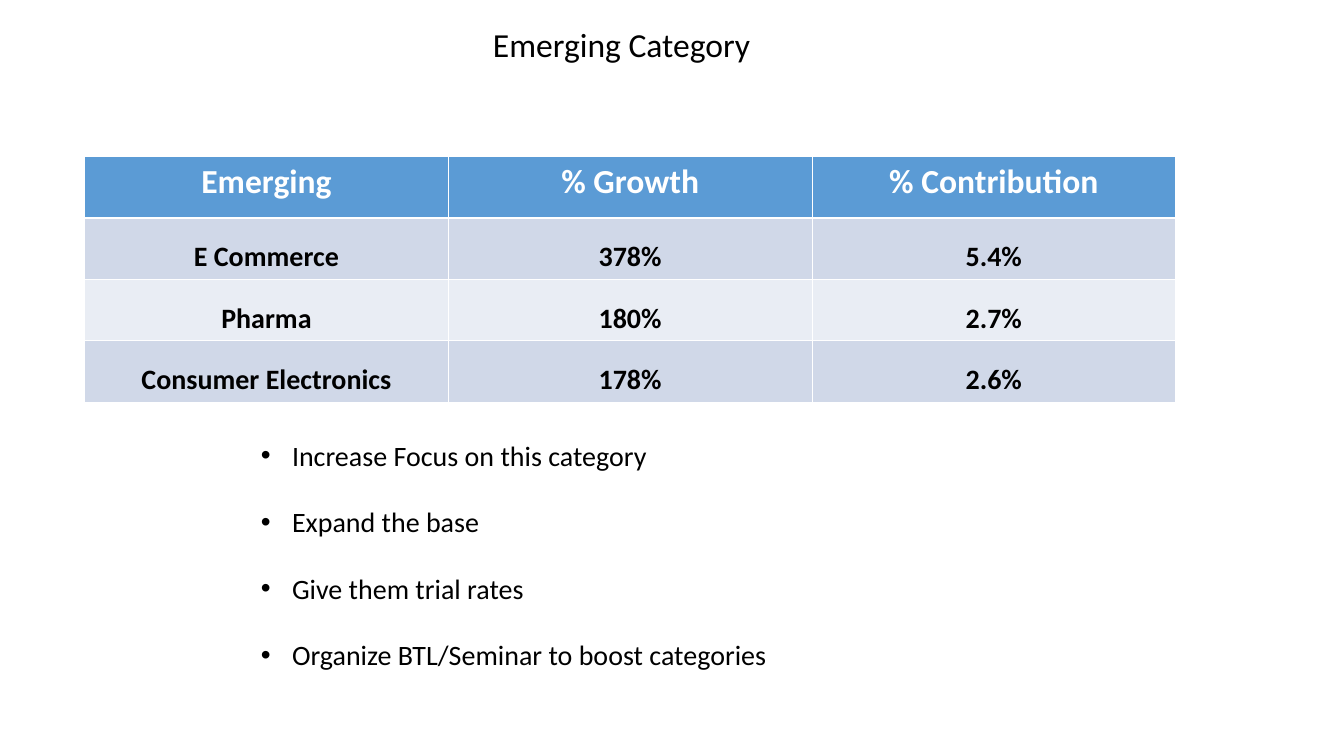
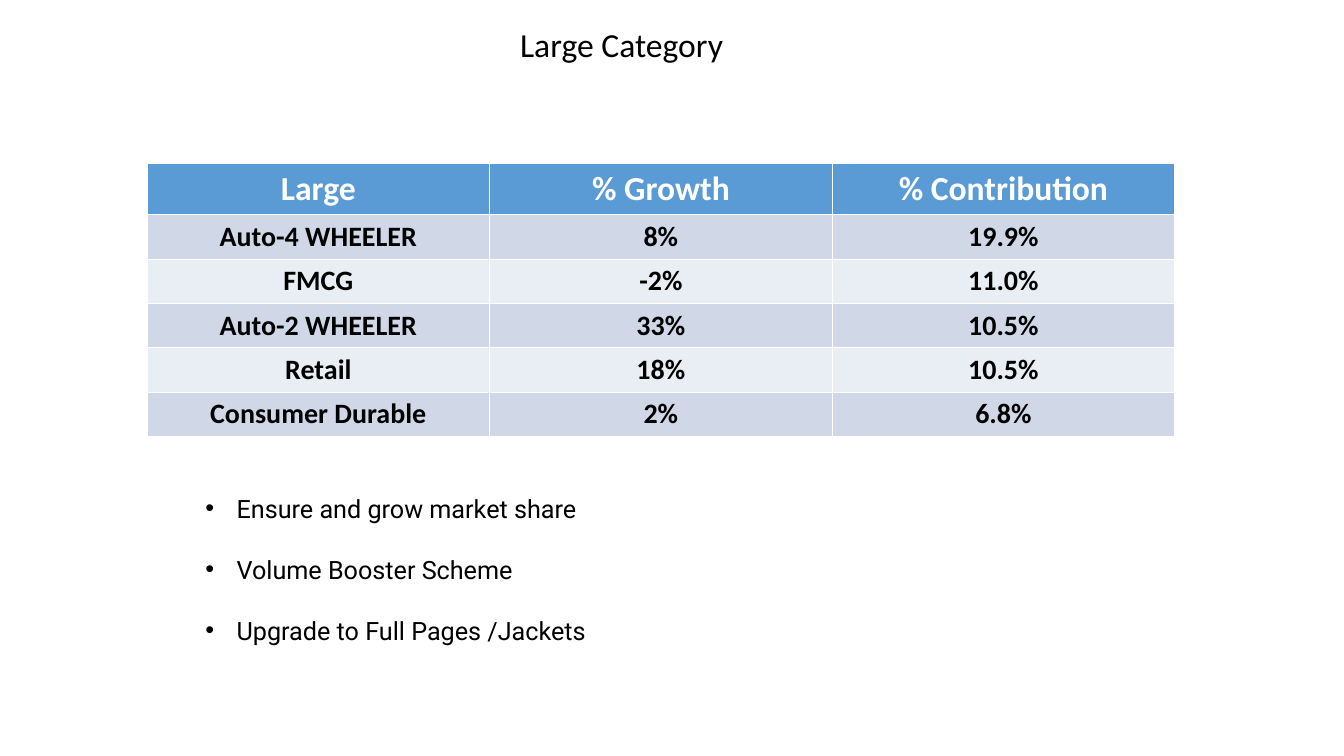
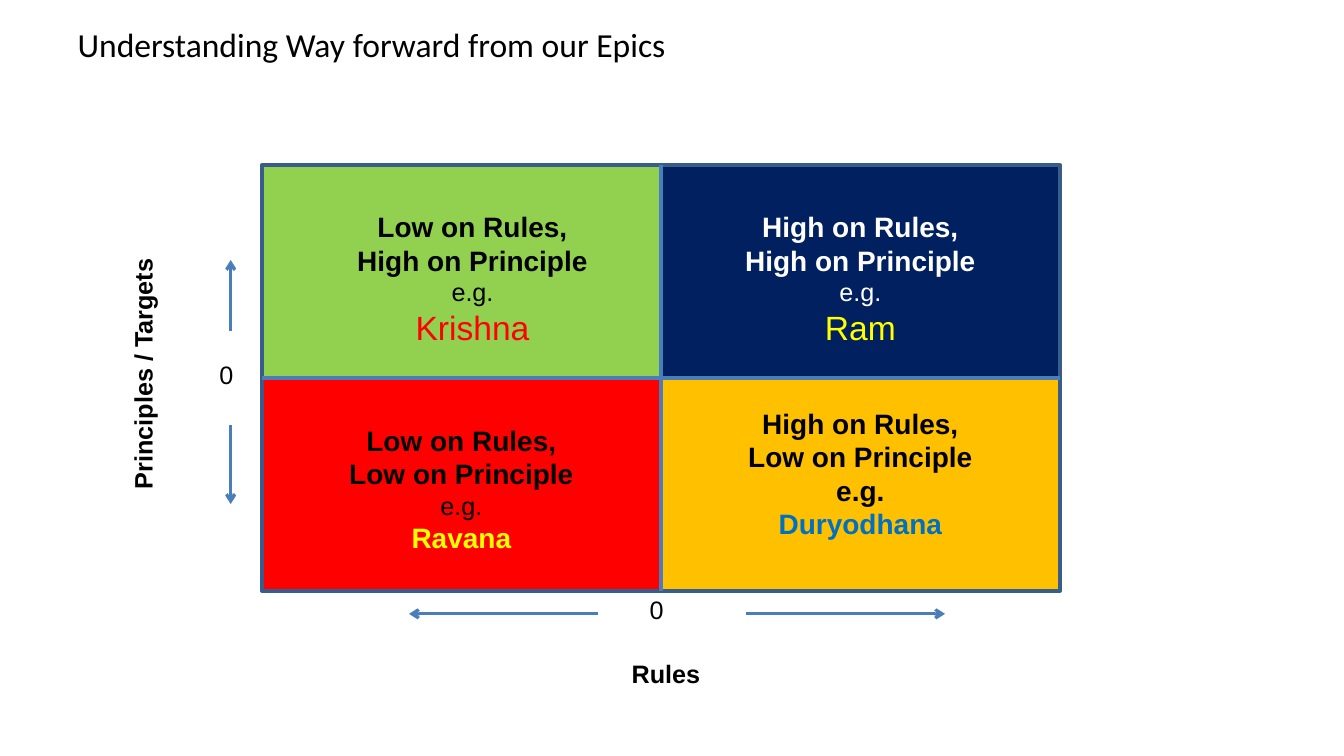
import lxml.etree
import pptx
import pptx.chart.data
import pptx.dml.color
import pptx.enum.shapes
import pptx.enum.text
import pptx.oxml.ns
import pptx.util

Inches = pptx.util.Inches
Pt = pptx.util.Pt
RGBColor = pptx.dml.color.RGBColor
ALIGN = pptx.enum.text.PP_ALIGN
ANCHOR = pptx.enum.text.MSO_ANCHOR
qn = pptx.oxml.ns.qn

BLACK = RGBColor(0x00, 0x00, 0x00)
WHITE = RGBColor(0xFF, 0xFF, 0xFF)
HEADER_BLUE = RGBColor(0x5B, 0x9B, 0xD5)
BAND_DARK = RGBColor(0xD0, 0xD8, 0xE8)
BAND_LIGHT = RGBColor(0xE9, 0xED, 0xF4)
GREEN = RGBColor(0x92, 0xD0, 0x50)
NAVY = RGBColor(0x00, 0x20, 0x60)
RED = RGBColor(0xFF, 0x00, 0x00)
AMBER = RGBColor(0xFF, 0xC0, 0x00)
YELLOW = RGBColor(0xFF, 0xFF, 0x00)
BLUE = RGBColor(0x00, 0x70, 0xC0)
FRAME_BLUE = RGBColor(0x38, 0x5D, 0x8A)
AXIS_BLUE = RGBColor(0x4A, 0x7E, 0xBB)


class Deck:
    """Holds the shared style and the slide being built."""

    BODY_FONT = "Calibri"
    MATRIX_FONT = "Arial"
    THIN, THICK = Pt(0.45), Pt(1.47)

    def __init__(self):
        self.prs = pptx.Presentation()
        self.prs.slide_width = Inches(13.34)
        self.prs.slide_height = Inches(7.5)
        self.slide = None

    @staticmethod
    def style(paragraph, font, size, color=BLACK, bold=False, align=ALIGN.LEFT):
        paragraph.alignment = align
        paragraph.font.name = font
        paragraph.font.size = Pt(size)
        paragraph.font.bold = bold
        paragraph.font.color.rgb = color

    def add_slide(self, heading, align=ALIGN.CENTER):
        self.slide = self.prs.slides.add_slide(self.prs.slide_layouts[5])
        title = self.slide.shapes.title
        title.left, title.top = Inches(0.67), Inches(0.16)
        title.width, title.height = Inches(11), Inches(0.6)
        frame = title.text_frame
        frame.text = heading
        frame.auto_size = pptx.enum.text.MSO_AUTO_SIZE.NONE
        frame.vertical_anchor = ANCHOR.MIDDLE
        frame.paragraphs[0].line_spacing = 0.9
        self.style(frame.paragraphs[0], self.BODY_FONT, 24, align=align)

    def text_box(self, left, top, width, height):
        box = self.slide.shapes.add_textbox(
            Inches(left), Inches(top), Inches(width), Inches(height))
        box.text_frame.word_wrap = True
        return box

    def label(self, text, left, top, width, bold=False, align=ALIGN.LEFT, rotation=0):
        box = self.text_box(left, top, width, 0.4)
        box.rotation = rotation
        paragraph = box.text_frame.paragraphs[0]
        paragraph.text = text
        self.style(paragraph, self.MATRIX_FONT, 18, bold=bold, align=align)

    def lines(self, left, top, height, lines):
        """Centred lines, each given as text, size, colour and bold."""
        frame = self.text_box(left, top, 3.54, height).text_frame
        for i, (text, size, color, bold) in enumerate(lines):
            paragraph = frame.add_paragraph() if i else frame.paragraphs[0]
            paragraph.text = text
            self.style(paragraph, self.MATRIX_FONT, size, color, bold, ALIGN.CENTER)

    def bullets(self, items, left, top, height, font, size, gap):
        frame = self.text_box(left, top, 7.61, height).text_frame
        for i, item in enumerate(items):
            paragraph = frame.add_paragraph() if i else frame.paragraphs[0]
            paragraph.text = item
            props = paragraph._p.get_or_add_pPr()
            props.set("marL", str(Inches(0.31)))
            props.set("indent", str(-Inches(0.31)))
            lxml.etree.SubElement(props, qn("a:buFont")).set("typeface", "Arial")
            lxml.etree.SubElement(props, qn("a:buChar")).set("char", "•")
            if i:
                paragraph.space_before = Pt(gap)
            self.style(paragraph, font, size)

    def cell_borders(self, cell, top, bottom):
        props = cell._tc.get_or_add_tcPr()
        widths = {"a:lnL": self.THIN, "a:lnR": self.THIN, "a:lnT": top, "a:lnB": bottom}
        for tag, width in widths.items():
            line = lxml.etree.SubElement(props, qn(tag))
            line.set("w", str(width))
            fill = lxml.etree.SubElement(line, qn("a:solidFill"))
            lxml.etree.SubElement(fill, qn("a:srgbClr")).set("val", str(WHITE))

    def table(self, rows, left, top, column_width, header_height, row_height):
        columns = len(rows[0])
        table = self.slide.shapes.add_table(
            len(rows), columns, Inches(left), Inches(top),
            Inches(column_width * columns),
            Inches(header_height + row_height * (len(rows) - 1))).table
        for column in table.columns:
            column.width = Inches(column_width)
        for r, values in enumerate(rows):
            header = r == 0
            table.rows[r].height = Inches(row_height if r else header_height)
            for c, value in enumerate(values):
                cell = table.cell(r, c)
                cell.text = value
                self.cell_borders(cell, self.THICK if r == 1 else self.THIN,
                                  self.THICK if header else self.THIN)
                cell.fill.solid()
                cell.fill.fore_color.rgb = (
                    HEADER_BLUE if header else BAND_DARK if r % 2 else BAND_LIGHT)
                cell.vertical_anchor = ANCHOR.TOP if header else ANCHOR.BOTTOM
                cell.margin_left = cell.margin_right = Inches(0.13 if header else 0.01)
                self.style(cell.text_frame.paragraphs[0], self.BODY_FONT,
                           24 if header else 20, WHITE if header else BLACK,
                           True, ALIGN.CENTER)

    def rectangle(self, left, top, width, height, fill, line, weight):
        shape = self.slide.shapes.add_shape(
            pptx.enum.shapes.MSO_SHAPE.RECTANGLE,
            Inches(left), Inches(top), Inches(width), Inches(height))
        shape.shadow.inherit = False
        if fill is None:
            shape.fill.background()
        else:
            shape.fill.solid()
            shape.fill.fore_color.rgb = fill
        shape.line.color.rgb = line
        shape.line.width = Pt(weight)

    def line(self, x1, y1, x2, y2, weight=3, arrow=False):
        connector = self.slide.shapes.add_connector(
            pptx.enum.shapes.MSO_CONNECTOR.STRAIGHT,
            Inches(x1), Inches(y1), Inches(x2), Inches(y2))
        connector.line.color.rgb = AXIS_BLUE
        connector.line.width = Pt(weight)
        if arrow:
            outline = connector.line._get_or_add_ln()
            lxml.etree.SubElement(outline, qn("a:tailEnd")).set("type", "arrow")
        lxml.etree.SubElement(connector._element.spPr, qn("a:effectLst"))


def emerging_slide(deck):
    deck.add_slide("Emerging Category")
    deck.table([
        ("Emerging", "% Growth", "% Contribution"),
        ("E Commerce", "378%", "5.4%"),
        ("Pharma", "180%", "2.7%"),
        ("Consumer Electronics", "178%", "2.6%"),
    ], 0.84, 1.55, 3.61, 0.61, 0.61)
    deck.bullets([
        "Increase Focus on this category",
        "Expand the base",
        "Give them trial rates",
        "Organize BTL/Seminar to boost categories",
    ], 2.49, 4.3, 2.44, deck.BODY_FONT, 20, 23.5)


def large_slide(deck):
    deck.add_slide("Large Category")
    deck.table([
        ("Large", "% Growth", "% Contribution"),
        ("Auto-4 WHEELER", "8%", "19.9%"),
        ("FMCG", "-2%", "11.0%"),
        ("Auto-2 WHEELER", "33%", "10.5%"),
        ("Retail", "18%", "10.5%"),
        ("Consumer Durable", "2%", "6.8%"),
    ], 1.46, 1.62, 3.4, 0.5, 0.41)
    deck.bullets([
        "Ensure and grow market share",
        "Volume Booster Scheme",
        "Upgrade to Full Pages /Jackets",
    ], 1.94, 4.84, 1.6, "Roboto", 18, 22)


def epics_slide(deck):
    deck.add_slide("Understanding Way forward from our Epics", ALIGN.LEFT)
    left, top, width, height = 2.6, 1.64, 3.96, 2.11
    middle_x, middle_y = left + width, top + height
    right, bottom = middle_x + width, middle_y + height

    for x, y, fill in ((middle_x, middle_y, AMBER), (left, middle_y, RED),
                       (middle_x, top, NAVY), (left, top, GREEN)):
        deck.rectangle(x, y, width, height, fill, BLACK, 0.75)
    deck.rectangle(left, top, 2 * width, 2 * height, None, FRAME_BLUE, 3)
    deck.line(middle_x, top, middle_x, bottom)
    deck.line(left, middle_y, right, middle_y)

    deck.label("Rules", 5.31, 6.48, 2.6, bold=True, align=ALIGN.CENTER)
    deck.label("Principles / Targets", 0.05, 3.51, 2.73, bold=True,
               align=ALIGN.CENTER, rotation=270)
    deck.label("0", 2.08, 3.52, 0.42)
    deck.label("0", 6.35, 5.85, 0.42)
    for ends in ((2.29, 3.28, 2.29, 2.58), (2.29, 4.22, 2.29, 5),
                 (7.4, 6.09, 9.38, 6.09), (5.94, 6.09, 4.06, 6.09)):
        deck.line(*ends, weight=2.25, arrow=True)

    quadrants = [
        (6.77, 3.98, 1.44, "High", "Low", BLACK, (20, True), ("Duryodhana", 20, BLUE, True)),
        (6.77, 2.03, 1.47, "High", "High", WHITE, (18, False), ("Ram", 24, YELLOW, False)),
        (2.81, 4.15, 1.4, "Low", "Low", BLACK, (18, False), ("Ravana", 20, YELLOW, True)),
        (2.92, 2.03, 1.47, "Low", "High", BLACK, (18, False), ("Krishna", 24, RED, False)),
    ]
    for x, y, box_height, rules, principle, color, (size, bold), example in quadrants:
        deck.lines(x, y, box_height, [
            (f"{rules} on Rules,", 20, color, True),
            (f"{principle} on Principle", 20, color, True),
            ("e.g.", size, color, bold),
            example,
        ])


def main():
    deck = Deck()
    emerging_slide(deck)
    large_slide(deck)
    epics_slide(deck)
    deck.prs.save("out.pptx")


if __name__ == "__main__":
    main()
